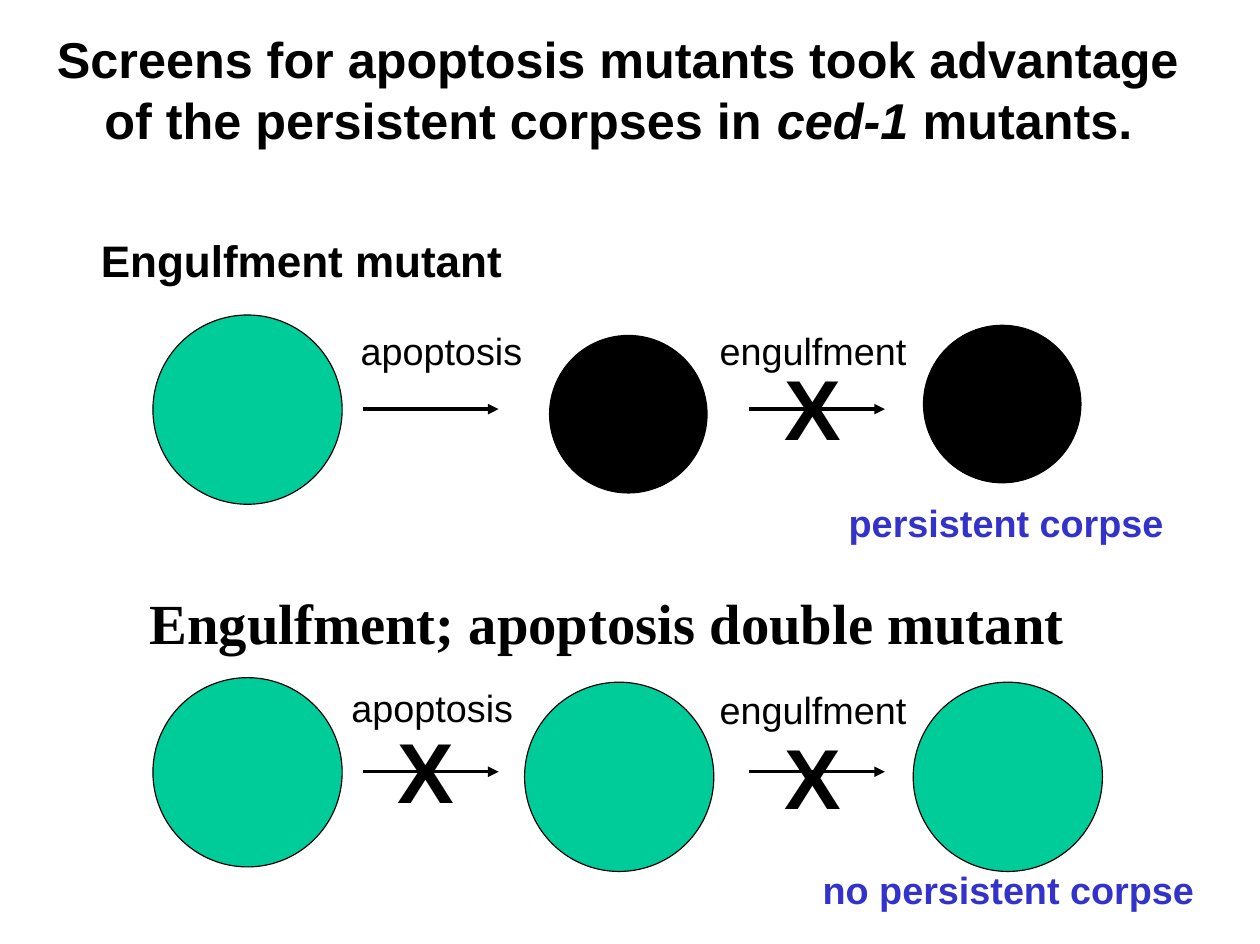
from pptx import Presentation
from pptx.dml.color import RGBColor
from pptx.enum.shapes import MSO_CONNECTOR, MSO_SHAPE
from pptx.enum.text import MSO_ANCHOR, MSO_AUTO_SIZE, PP_ALIGN
from pptx.oxml.ns import qn
from pptx.util import Inches, Pt
from lxml.etree import SubElement

GREEN, BLACK, BLUE = "00CC99", "000000", "3333CC"


def tint(code):
    return RGBColor.from_string(code)


class Deck:
    font = "Arial"

    def __init__(self, slide):
        self.slide = slide

    def style(self, shape, size, bold=False, color=BLACK, font=None):
        frame = shape.text_frame
        frame.auto_size = MSO_AUTO_SIZE.NONE
        frame.vertical_anchor = MSO_ANCHOR.TOP
        frame.margin_left = frame.margin_right = Inches(0.11)
        frame.margin_top = frame.margin_bottom = Inches(0.06)
        for para in frame.paragraphs:
            para.alignment = PP_ALIGN.CENTER
            for run in para.runs:
                run.font.name = font or self.font
                run.font.size = Pt(size)
                run.font.bold = bold
                run.font.color.rgb = tint(color)

    def title(self, parts, left, top, width, height):
        shape = self.slide.shapes.title
        shape.left, shape.top = Inches(left), Inches(top)
        shape.width, shape.height = Inches(width), Inches(height)
        para = shape.text_frame.paragraphs[0]
        for text, slant in parts:
            run = para.add_run()
            run.text = text
            run.font.italic = slant
        shape.text_frame.word_wrap = True
        self.style(shape, 32, True)

    def label(self, text, left, top, width, height, size=24, **look):
        box = self.slide.shapes.add_textbox(
            Inches(left), Inches(top), Inches(width), Inches(height))
        box.text_frame.text = text
        box.text_frame.word_wrap = False
        self.style(box, size, **look)

    def cell(self, left, top, size, color):
        disc = self.slide.shapes.add_shape(
            MSO_SHAPE.OVAL, Inches(left), Inches(top), Inches(size), Inches(size))
        disc.shadow.inherit = False
        disc.fill.solid()
        disc.fill.fore_color.rgb = tint(color)
        disc.line.color.rgb = tint(BLACK)
        disc.line.width = Pt(0.75)

    def arrow(self, left, top, width):
        line = self.slide.shapes.add_connector(
            MSO_CONNECTOR.STRAIGHT, Inches(left), Inches(top),
            Inches(left + width), Inches(top))
        line.line.color.rgb = tint(BLACK)
        line.line.width = Pt(2.25)
        props = line._element.spPr
        SubElement(props.find(qn("a:ln")), qn("a:tailEnd"), type="triangle")
        SubElement(props, qn("a:effectLst"))

    def cross(self, left, top):
        self.label("X", left, top, 0.72, 1.01, 54, bold=True)


def main():
    show = Presentation()
    show.slide_width, show.slide_height = Inches(11.12), Inches(8.33)
    deck = Deck(show.slides.add_slide(show.slide_layouts[5]))

    deck.title([("Screens for apoptosis mutants took advantage "
                 "of the persistent corpses in ", False),
                ("ced-1", True), (" mutants.", False)], 0.18, 0.19, 10.56, 1.18)

    deck.label("Engulfment mutant", 0.78, 2, 3.76, 0.58, 28, bold=True)
    deck.label("Engulfment; apoptosis double mutant", 1.21, 5.13, 8.29, 0.71,
               36, bold=True, font="Times New Roman")

    cells = [(1.35, 2.78, 1.67, GREEN), (4.85, 2.96, 1.39, BLACK),
             (8.15, 2.87, 1.39, BLACK), (1.35, 5.98, 1.67, GREEN),
             (4.63, 6.02, 1.67, GREEN), (8.06, 6.02, 1.67, GREEN)]
    for spot in cells:
        deck.cell(*spot)

    rows = [(3.61, 3.07, 2.83, 2.83), (6.81, 2.99, 5.98, 6)]
    for level, left, first, second in rows:
        for start in (3.2, 6.61):
            deck.arrow(start, level, 1.2)
        deck.label("apoptosis", left, first, 1.65, 0.51)
        deck.label("engulfment", 6.24, second, 1.87, 0.51)

    for spot in [(6.81, 3.08), (3.4, 6.28), (6.81, 6.33)]:
        deck.cross(*spot)

    deck.label("persistent corpse", 7.38, 4.35, 3, 0.51, bold=True, color=BLUE)
    deck.label("no persistent corpse", 7.15, 7.59, 3.5, 0.51, bold=True, color=BLUE)

    show.save("out.pptx")


if __name__ == "__main__":
    main()
